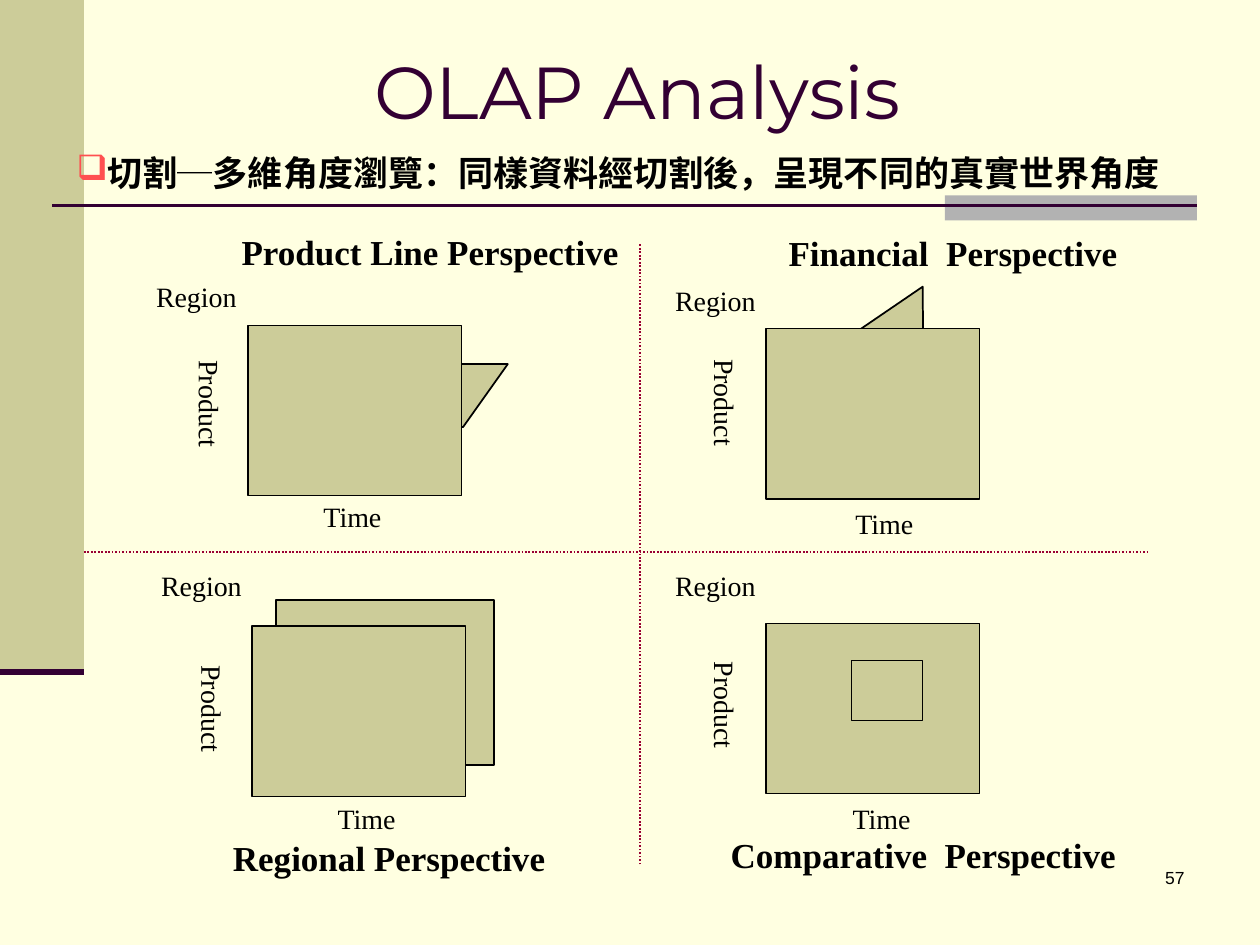
import pptx
import pptx.util
import pptx.dml.color
import pptx.enum.dml
import pptx.enum.shapes
import pptx.enum.text
import pptx.oxml.ns
from lxml import etree

Pt = pptx.util.Pt
SHAPE = pptx.enum.shapes.MSO_SHAPE
ALIGN = pptx.enum.text.PP_ALIGN
ANCHOR = pptx.enum.text.MSO_ANCHOR
AUTO_SIZE = pptx.enum.text.MSO_AUTO_SIZE
qn = pptx.oxml.ns.qn

COLORS = {"paper": "FFFFE1", "khaki": "CCCC99", "gray": "B2B2B2", "plum": "330033",
          "divider": "990033", "bullet": "FF5050", "ink": "000000"}
AXIS = {"size": Pt(16), "name": "Times New Roman"}
HEADING = {"size": Pt(20), "name": "Times New Roman", "bold": True}
STATEMENT = {"size": Pt(20), "name": "Noto Sans CJK SC", "bold": True}
TITLE = {"size": Pt(42), "name": "Montserrat", "bold": False}
PAGE = {"size": Pt(10), "name": "Arial"}

# Label and slice places are offsets from the top left corner of the cube face
FACE_SIZE = (122, 97.2)
QUADRANTS = [
    {"face": (141.8, 185.8), "heading": ("Product Line Perspective", -10.8, -57.6, 230.4),
     "region": (-59.7, -29.5), "product": (-41.7, 12.9), "time": (36, 96.4),
     "slice": {"kind": SHAPE.PARALLELOGRAM, "box": (1.5, 22.3, 146.9, 36),
               "adjustment": 0.71, "weight": 1}},
    {"face": (437.8, 187.9), "heading": ("Financial  Perspective", 5.7, -59, 202.3),
     "region": (-59.1, -29.5), "product": (-43.2, 10.1), "time": (43.9, 97.9),
     "slice": {"kind": SHAPE.PARALLELOGRAM, "box": (23, -3.6, 96.5, 77),
               "adjustment": 0.67, "rotation": 145.7, "weight": 1}},
    {"face": (144, 357.8), "heading": ("Regional Perspective", -18, 116.7, 193),
     "region": (-59, -36.7), "product": (-42.5, 15.2), "time": (41.8, 96.5),
     "slice": {"kind": SHAPE.RECTANGLE, "box": (13.7, -15.1, 124.6, 94.3), "weight": 1}},
    {"face": (437.8, 356.4), "heading": ("Comparative  Perspective", -27.4, 116.6, 234.7),
     "region": (-59.1, -35.3), "product": (-43.2, 14.4), "time": (42.4, 97.9),
     "slice": {"kind": SHAPE.RECTANGLE, "box": (48.9, 20.9, 40.3, 34.6),
               "weight": 0.75, "in_front": True}},
]


def rgb(color):
    return pptx.dml.color.RGBColor.from_string(COLORS[color])


def set_all(target, values):
    for name, value in values.items():
        setattr(target, name, value)


def add_block(slide, box, fill, weight=None, kind=SHAPE.RECTANGLE, adjustment=None, rotation=0):
    shape = slide.shapes.add_shape(kind, *map(Pt, box))
    shape.shadow.inherit = False
    shape.rotation = rotation
    if adjustment is not None:
        shape.adjustments[0] = adjustment
    shape.fill.solid()
    shape.fill.fore_color.rgb = rgb(fill)
    if weight is None:
        shape.line.fill.background()
    else:
        shape.line.color.rgb = rgb("ink")
        shape.line.width = Pt(weight)


def add_line(slide, ends, color, weight, dash=None):
    line = slide.shapes.add_connector(pptx.enum.shapes.MSO_CONNECTOR.STRAIGHT, *map(Pt, ends))
    line.line.color.rgb = rgb(color)
    line.line.width = Pt(weight)
    if dash is not None:
        line.line.dash_style = dash
    etree.SubElement(line._element.spPr, qn("a:effectLst"))


def write_text(shape, text, font, color="ink", align=ALIGN.LEFT):
    paragraph = shape.text_frame.paragraphs[0]
    paragraph.alignment = align
    run = paragraph.add_run()
    run.text = text
    set_all(run.font, font)
    run.font.color.rgb = rgb(color)
    east_asian = etree.SubElement(run._r.get_or_add_rPr(), qn("a:ea"))
    east_asian.set("typeface", font["name"])
    return paragraph


def add_label(slide, box, text, font, align=ALIGN.LEFT, wrap=False, vertical=False):
    label = slide.shapes.add_textbox(*map(Pt, box))
    across, along = (3.6, 7.2) if vertical else (7.2, 3.6)
    set_all(label.text_frame, {
        "word_wrap": wrap,
        "auto_size": AUTO_SIZE.NONE if wrap else AUTO_SIZE.SHAPE_TO_FIT_TEXT,
        "margin_left": Pt(across), "margin_right": Pt(across),
        "margin_top": Pt(along), "margin_bottom": Pt(along)})
    if vertical:
        label.text_frame._txBody.bodyPr.set("vert", "eaVert")
    return write_text(label, text, font, align=align)


def draw_frame(slide, box):
    """Side band, rule under the header and page number."""
    left, top, width, height = box
    add_block(slide, (left, top, 48, 384), "khaki")
    add_block(slide, (left + width - 180, top + 111.6, 144, 14.4), "gray")
    add_line(slide, (left + 30, top + 117.6, left + width - 36, top + 117.6), "plum", 1.5)
    add_line(slide, (left, top + 384, left + 48, top + 384), "plum", 3.5)
    add_label(slide, (left + width - 186, top + height - 48, 150, 36), "57", PAGE,
              align=ALIGN.RIGHT, wrap=True)


def draw_header(slide, box):
    """Title and the bulleted statement below it."""
    left, top, width, height = box
    title = slide.shapes.title
    set_all(title, {"left": Pt(left + 11.5), "top": Pt(top), "width": Pt(width - 1.5),
                    "height": Pt(62.6)})
    title.text_frame.vertical_anchor = ANCHOR.MIDDLE
    write_text(title, "OLAP Analysis", TITLE, "plum", ALIGN.CENTER)

    statement = add_label(slide, (left, top + height - 31.7, width, 31.7),
                          "切割─多維角度瀏覽：同樣資料經切割後，呈現不同的真實世界角度",
                          STATEMENT, wrap=True)
    properties = statement._p.get_or_add_pPr()
    properties.set("marL", "0")
    properties.set("indent", "0")
    bullet_color = etree.SubElement(properties, qn("a:buClr"))
    etree.SubElement(bullet_color, qn("a:srgbClr")).set("val", COLORS["bullet"])
    etree.SubElement(properties, qn("a:buChar")).set("char", "❑")


def draw_quadrant(slide, box, quadrant):
    """Cube face in the given box, with its slice, axis labels and heading."""
    left, top, width, height = box

    def place(x, y, part_width, part_height):
        return left + x, top + y, part_width, part_height

    cut = dict(quadrant["slice"])
    cut_box = place(*cut.pop("box"))
    in_front = cut.pop("in_front", False)
    if not in_front:
        add_block(slide, cut_box, "khaki", **cut)
    add_block(slide, box, "khaki", 0.75)
    if in_front:
        add_block(slide, cut_box, "khaki", **cut)

    add_label(slide, place(*quadrant["region"], 60.5, 26.6), "Region", AXIS)
    add_label(slide, place(*quadrant["product"], 33.1, 56.9), "Product", AXIS, vertical=True)
    add_label(slide, place(*quadrant["time"], 48.2, 26.6), "Time", AXIS)
    text, x, y, heading_width = quadrant["heading"]
    add_label(slide, place(x, y, heading_width, 31.7), text, HEADING)


def draw_dividers(slide, box):
    """Dotted cross between the four quadrants."""
    left, top, width, height = box
    dots = pptx.enum.dml.MSO_LINE.ROUND_DOT
    for ends in ((left, 315.4, left + width, 315.4), (365.8, top + height, 365.8, top)):
        add_line(slide, ends, "divider", 1, dots)


def main():
    presentation = pptx.Presentation()
    set_all(presentation, {"slide_width": Pt(720), "slide_height": Pt(540)})
    slide = presentation.slides.add_slide(presentation.slide_layouts[5])
    slide.background.fill.solid()
    slide.background.fill.fore_color.rgb = rgb("paper")

    draw_frame(slide, (0, 0, 720, 540))
    draw_header(slide, (36.7, 20.2, 633.6, 94.3))
    for quadrant in QUADRANTS:
        draw_quadrant(slide, quadrant["face"] + FACE_SIZE, quadrant)
    draw_dividers(slide, (48, 139.7, 607.2, 354.2))
    presentation.save("out.pptx")


if __name__ == "__main__":
    main()
